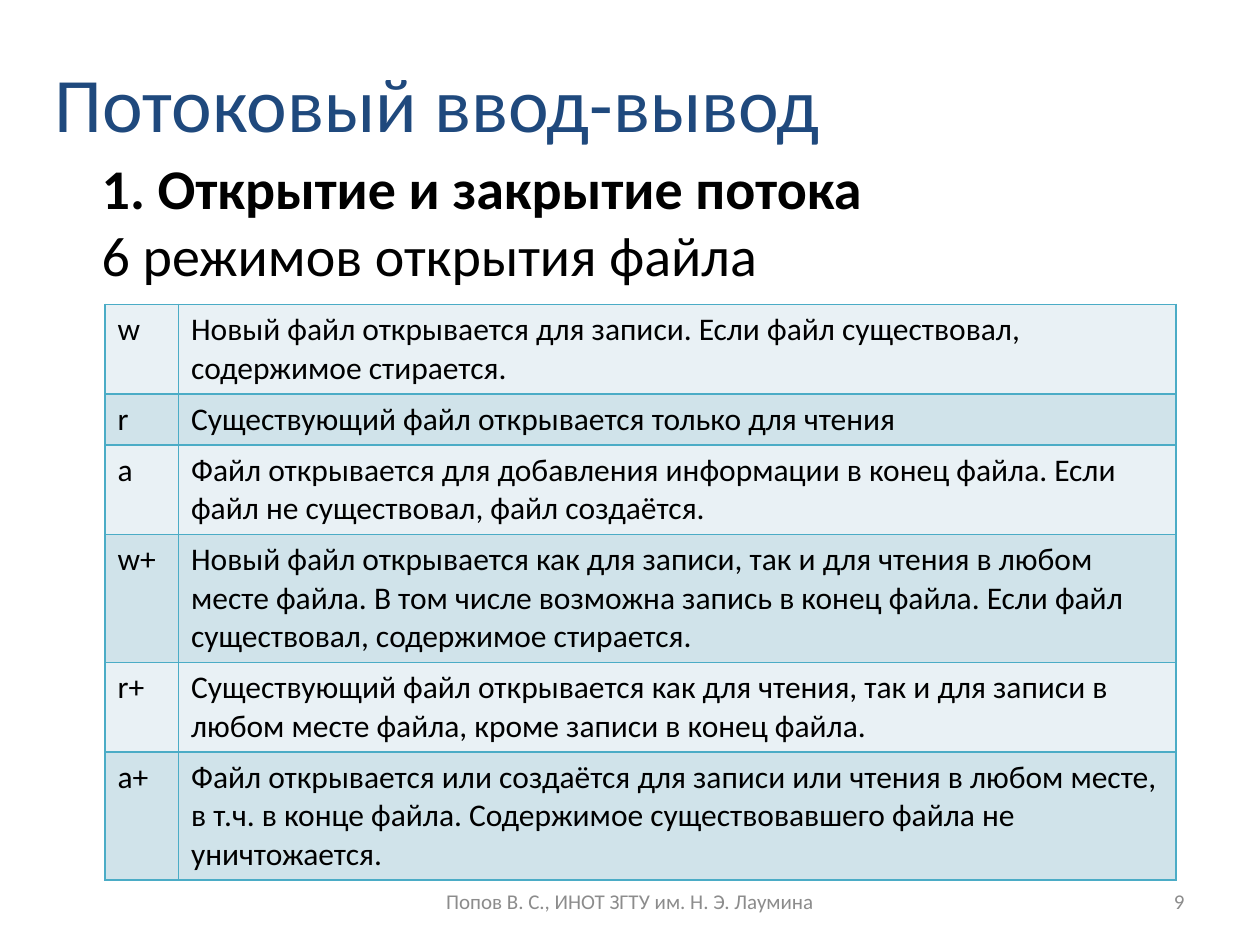
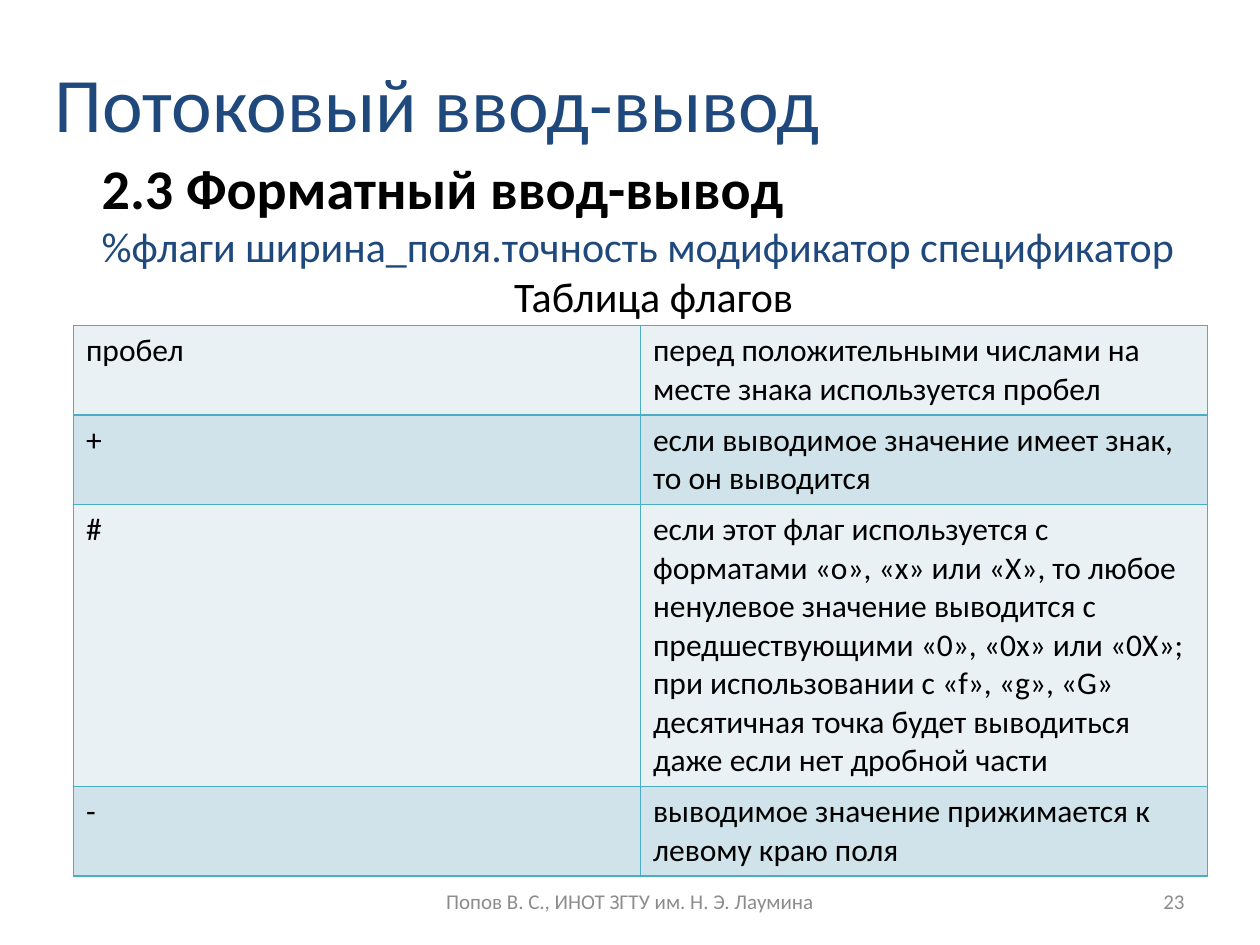
from dataclasses import dataclass
from lxml import etree
from pptx import Presentation
from pptx.dml.color import RGBColor
from pptx.enum import text
from pptx.oxml import ns
from pptx.util import Pt


@dataclass(frozen=True)
class Theme:
    face: str = "Calibri"
    blue: str = "1F497D"
    black: str = "000000"
    gray: str = "8C8C8C"
    rule: str = "4BACC6"
    bands: tuple = ("E9F1F5", "D0E3EA")
    title: int = 44
    head: int = 32
    note: int = 24
    cell: int = 18
    foot: int = 12


look = Theme()
LEFT, MID, RIGHT = text.PP_ALIGN.LEFT, text.PP_ALIGN.CENTER, text.PP_ALIGN.RIGHT
TITLE = "Потоковый ввод-вывод"
FOOTER = "Попов В. С., ИНОТ ЗГТУ им. Н. Э. Лаумина"
INDENT, LINE, PAD = 27, 21.6, 7.2

# Each table row: key, description, number of text lines
SLIDES = [
    {
        "page": "9",
        "height": 124,
        "lines": [
            ("1. Открытие и закрытие потока", look.head, look.black, True, LEFT),
            ("6 режимов открытия файла", look.head, look.black, False, LEFT),
        ],
        "place": (60, 174),
        "cols": (42, 570),
        "rows": [
            ("w", "Новый файл открывается для записи. Если файл существовал, "
                  "содержимое стирается.", 2),
            ("r", "Существующий файл открывается только для чтения", 1),
            ("a", "Файл открывается для добавления информации в конец файла. "
                  "Если файл не существовал, файл создаётся.", 2),
            ("w+", "Новый файл открывается как для записи, так и для чтения в любом "
                   "месте файла. В том числе возможна запись в конец файла. Если файл "
                   "существовал, содержимое стирается.", 3),
            ("r+", "Существующий файл открывается как для чтения, так и для записи в "
                   "любом месте файла, кроме записи в конец файла.", 2),
            ("a+", "Файл открывается или создаётся для записи или чтения в любом месте, "
                   "в т.ч. в конце файла. Содержимое существовавшего файла не "
                   "уничтожается.", 3),
        ],
    },
    {
        "page": "23",
        "height": 104.4,
        "lines": [
            ("2.3 Форматный ввод-вывод", look.head, look.black, True, LEFT),
            ("%флаги ширина_поля.точность модификатор спецификатор",
             look.note, look.blue, False, LEFT),
            ("Таблица флагов", look.note, look.black, False, MID),
        ],
        "place": (42, 186),
        "cols": (324, 324),
        "rows": [
            ("пробел", "перед положительными числами на месте знака "
                       "используется пробел", 2),
            ("+", "если выводимое значение имеет знак, то он выводится", 2),
            ("#", "если этот флаг используется с форматами «o», «x» или «X», то любое "
                  "ненулевое значение выводится с предшествующими «0», «0x» или «0X»; "
                  "при использовании с «f», «g», «G» десятичная точка будет выводиться "
                  "даже если нет дробной части", 7),
            ("-", "выводимое значение прижимается к левому краю поля", 2),
        ],
    },
]


def style(par, words, size, color, bold=False, align=LEFT):
    par.text = words
    par.alignment = align
    par.font.name = look.face
    par.font.size = Pt(size)
    par.font.bold = bold
    par.font.color.rgb = RGBColor.from_string(color)


def setup(shape, anchor):
    frame = shape.text_frame
    frame.word_wrap = True
    frame.auto_size = text.MSO_AUTO_SIZE.NONE
    frame.vertical_anchor = anchor
    return frame


def add_text(slide, box, lines, anchor, indent=0):
    frame = setup(slide.shapes.add_textbox(*map(Pt, box)), anchor)
    for i, line in enumerate(lines):
        par = frame.add_paragraph() if i else frame.paragraphs[0]
        style(par, *line)
        if indent:
            par._p.get_or_add_pPr().set("marL", str(Pt(indent)))


def add_edges(cell):
    props = cell._tc.get_or_add_tcPr()
    for side in ("lnL", "lnR", "lnT", "lnB"):
        edge = etree.SubElement(props, ns.qn("a:" + side), w=str(Pt(1)))
        fill = etree.SubElement(edge, ns.qn("a:solidFill"))
        etree.SubElement(fill, ns.qn("a:srgbClr"), val=look.rule)


def add_grid(slide, place, cols, rows):
    highs = [LINE * row[2] + PAD for row in rows]
    size = (sum(cols), sum(highs))
    grid = slide.shapes.add_table(len(rows), len(cols), *map(Pt, place + size)).table
    grid.first_row = grid.horz_banding = False
    for col, width in zip(grid.columns, cols):
        col.width = Pt(width)
    for r, (row, high) in enumerate(zip(rows, highs)):
        grid.rows[r].height = Pt(high)
        for c, words in enumerate(row[:2]):
            cell = grid.cell(r, c)
            style(cell.text_frame.paragraphs[0], words, look.cell, look.black)
            add_edges(cell)
            cell.fill.solid()
            cell.fill.fore_color.rgb = RGBColor.from_string(look.bands[r % 2])


def add_slide(deck, data):
    slide = deck.slides.add_slide(deck.slide_layouts[5])
    title = slide.shapes.title
    title.left, title.top, title.width, title.height = map(Pt, (24, 0, 588, 116))
    middle = text.MSO_ANCHOR.MIDDLE
    style(setup(title, middle).paragraphs[0], TITLE, look.title, look.blue)
    add_text(slide, (24, 84, 672, data["height"]), data["lines"],
             text.MSO_ANCHOR.TOP, INDENT)
    for left, width, words, align in ((516, 168, data["page"], RIGHT),
                                      (246, 228, FOOTER, MID)):
        add_text(slide, (left, 500.5, width, 28.8),
                 [(words, look.foot, look.gray, False, align)], middle)
    add_grid(slide, data["place"], data["cols"], data["rows"])


deck = Presentation()
deck.slide_width, deck.slide_height = Pt(720), Pt(540)
for data in SLIDES:
    add_slide(deck, data)
deck.save("out.pptx")
